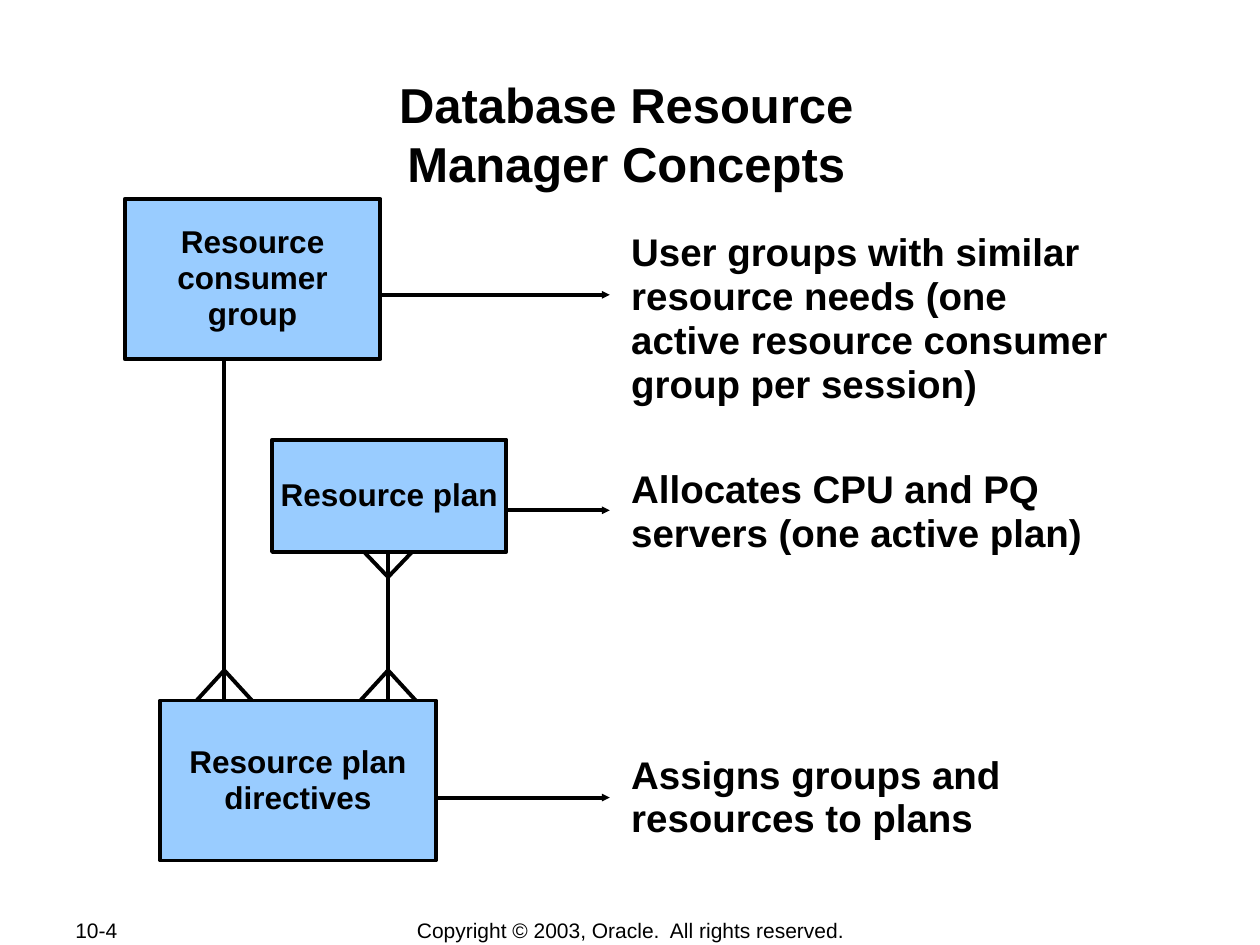
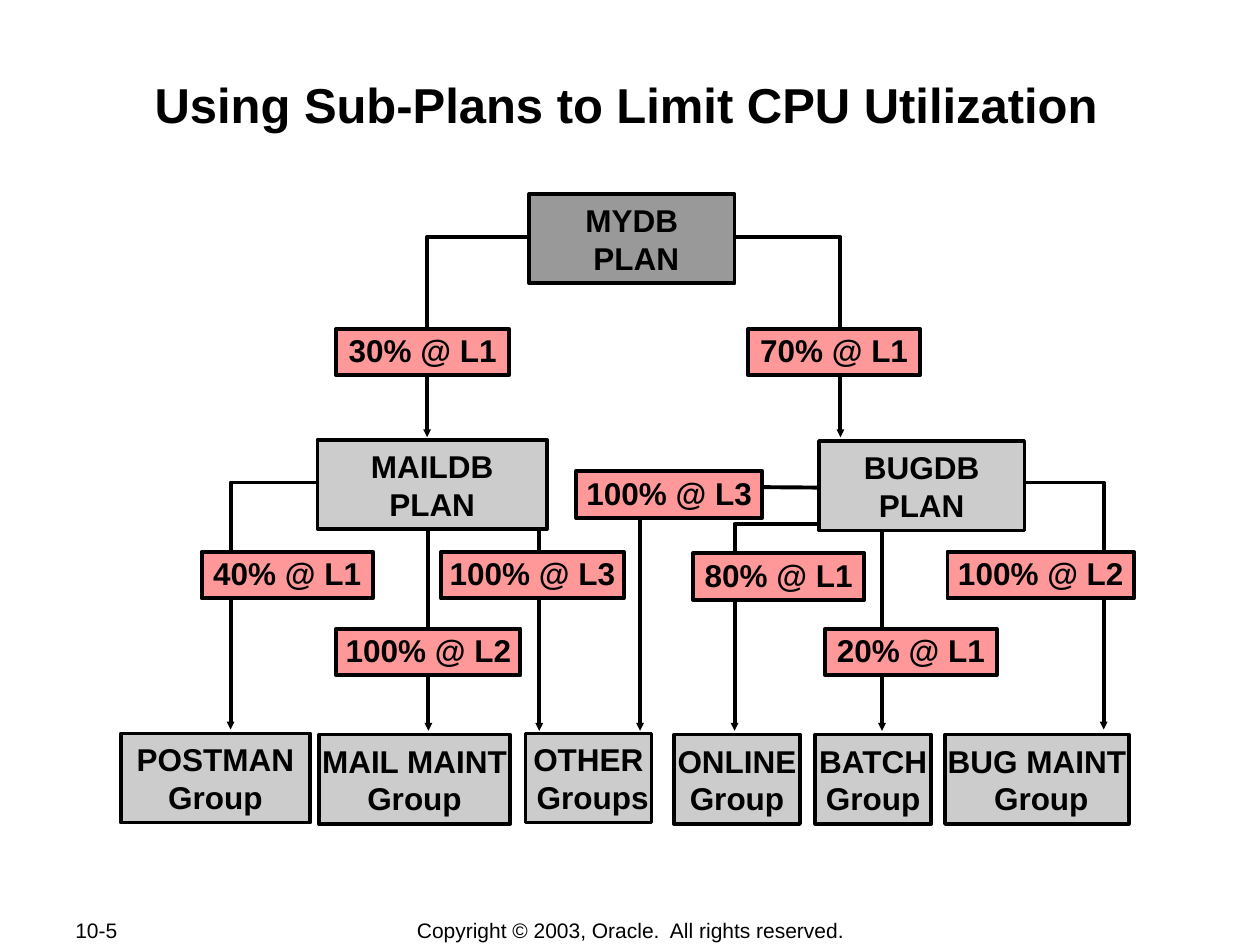
from lxml import etree
from pptx import Presentation
from pptx.dml.color import RGBColor
from pptx.enum.shapes import MSO_CONNECTOR, MSO_SHAPE
from pptx.enum.text import MSO_ANCHOR, PP_ALIGN
from pptx.oxml.ns import qn
from pptx.util import Inches, Pt

FONT = "Arial"
BLACK, BLUE, DARK_GREY, GREY, PINK = "000000", "99CCFF", "999999", "CCCCCC", "FF9999"
COPYRIGHT = "Copyright © 2003, Oracle.  All rights reserved."


def add_text(s, at, paragraphs, size=18, bold=True, fill=None, line=2.25, align=PP_ALIGN.CENTER,
             anchor=MSO_ANCHOR.MIDDLE, inset=0.05, spacing=1.0, wrap=True):
    """Add a box of text; each paragraph is (text, points before). With a fill it is a rectangle."""
    at = [Inches(v) for v in at]
    if fill:
        sp = s.shapes.add_shape(MSO_SHAPE.RECTANGLE, *at)
        sp.shadow.inherit = False
        sp.fill.solid()
        sp.fill.fore_color.rgb = RGBColor.from_string(fill)
        sp.line.color.rgb = RGBColor.from_string(BLACK)
        sp.line.width = Pt(line)
    else:
        sp = s.shapes.add_textbox(*at)
    tf = sp.text_frame
    tf.word_wrap = wrap
    tf.vertical_anchor = anchor
    tf.margin_left = tf.margin_right = Inches(inset)
    tf.margin_top = tf.margin_bottom = Inches(min(inset, 0.05))
    for i, (text, before) in enumerate(paragraphs):
        p = tf.add_paragraph() if i else tf.paragraphs[0]
        p.alignment = align
        p.line_spacing = spacing
        if before:
            p.space_before = Pt(before)
        for j, part in enumerate(text.split("\n")):
            if j:
                p.add_line_break()
            r = p.add_run()
            r.text = part
            r.font.name = FONT
            r.font.size = Pt(size)
            r.font.bold = bold
            r.font.color.rgb = RGBColor.from_string(BLACK)


def add_path(s, points, arrow=True):
    """Join the points: a connector for two, an open outline for more."""
    points = [(Inches(x), Inches(y)) for x, y in points]
    if len(points) == 2:
        sp = s.shapes.add_connector(MSO_CONNECTOR.STRAIGHT, *points[0], *points[1])
        etree.SubElement(sp._element.spPr, qn("a:effectLst"))
    else:
        builder = s.shapes.build_freeform(*points[0])
        builder.add_line_segments(points[1:], close=False)
        sp = builder.convert_to_shape()
        sp.shadow.inherit = False
        sp.fill.background()
    sp.line.color.rgb = RGBColor.from_string(BLACK)
    sp.line.width = Pt(2.25)
    if arrow:
        etree.SubElement(sp.line._get_or_add_ln(), qn("a:tailEnd"), type="triangle", w="sm", len="sm")


prs = Presentation()
prs.slide_width, prs.slide_height = Inches(10), Inches(7.5)

# Title and footers on both slides
titles = [("10-4", "Database Resource\nManager Concepts"),
          ("10-5", "Using Sub-Plans to Limit CPU Utilization")]
for number, title in titles:
    s = prs.slides.add_slide(prs.slide_layouts[6])
    add_text(s, (0.5, 7.28, 1.06, 0.2), [(number, 0)], size=12, bold=False,
             align=PP_ALIGN.LEFT, inset=0.1)
    add_text(s, (2.76, 7.28, 4.49, 0.21), [(COPYRIGHT, 0)], size=12, bold=False, inset=0.1)
    add_text(s, (0.97, 0.58, 8, 0.96), [(title, 0)], size=28, anchor=MSO_ANCHOR.TOP, inset=0.01)
concepts, subplans = prs.slides

# Concepts: relations between the boxes
add_path(concepts, [(1.78, 5.62), (1.78, 2.83)], arrow=False)
add_path(concepts, [(3.08, 5.67), (3.08, 4.17)], arrow=False)

# Crow's feet: tip, then the edge of the box they spread to
for x, tip, edge in [(1.78, 5.32, 5.56), (3.08, 5.32, 5.56), (3.08, 4.58, 4.35)]:
    for side in (-0.22, 0.22):
        add_path(concepts, [(x + side, edge), (x, tip)], arrow=False)

# Arrows to the explanations
for x, y in [(2.58, 2.34), (3.59, 4.05), (2.87, 6.33)]:
    add_path(concepts, [(x, y), (4.84, y)])

# Concept boxes
for at, text in [((0.99, 1.58, 2.03, 1.27), "Resource consumer group"),
                 ((2.16, 3.49, 1.86, 0.89), "Resource plan"),
                 ((1.27, 5.56, 2.19, 1.27), "Resource plan directives")]:
    add_text(concepts, at, [(text, 0)], fill=BLUE, spacing=0.95)

# Explanations
add_text(concepts, (5, 1.83, 3.92, 4.88), [
    ("User groups with similar\nresource needs (one active resource consumer group per session)", 0),
    ("Allocates CPU and PQ servers (one active plan)", 35),
    ("Assigns groups and resources to plans", 113),
], size=22, align=PP_ALIGN.LEFT, anchor=MSO_ANCHOR.TOP, inset=0.01, spacing=0.95)

# Sub-plans: arrows with a bend, from the side of a plan
for start_x, y, x, end_y in [(5.79, 1.88, 6.67, 3.47), (4.23, 1.88, 3.39, 3.47),
                             (8.08, 3.83, 8.76, 5.79), (2.51, 3.83, 1.83, 5.79),
                             (6.51, 4.16, 5.83, 5.8)]:
    add_path(subplans, [(start_x, y), (x, y), (x, end_y)])

# Straight arrows down to the groups
for x, y in [(3.4, 4.16), (4.28, 4.16), (5.08, 4.09), (7, 4.16)]:
    add_path(subplans, [(x, y), (x, 5.8)])
add_path(subplans, [(6.49, 3.87), (5.23, 3.86)], arrow=False)

# Plans and consumer groups
add_text(subplans, (4.2, 1.54, 1.63, 0.71), [("MYDB\n PLAN", 0)], fill=DARK_GREY, wrap=False)
for x, y, w, text in [(2.52, 3.49, 1.82, "MAILDB\nPLAN"), (6.5, 3.5, 1.63, "BUGDB\nPLAN"),
                      (0.96, 5.82, 1.5, "POSTMAN\nGroup"), (2.53, 5.83, 1.52, "MAIL MAINT\nGroup"),
                      (4.17, 5.82, 1, "OTHER\n Groups"), (5.35, 5.83, 1, "ONLINE\nGroup"),
                      (6.47, 5.83, 0.92, "BATCH\nGroup"), (7.5, 5.83, 1.46, "BUG MAINT\n Group")]:
    add_text(subplans, (x, y, w, 0.71), [(text, 0)], fill=GREY, line=2, inset=0.1, wrap=False)

# CPU shares
for x, y, w, share in [(2.67, 2.61, 1.37, "30% @ L1"), (5.94, 2.61, 1.36, "70% @ L1"),
                       (4.57, 3.74, 1.48, "100% @ L3"), (1.6, 4.38, 1.36, "40% @ L1"),
                       (3.5, 4.38, 1.45, "100% @ L3"), (5.5, 4.39, 1.36, "80% @ L1"),
                       (7.52, 4.38, 1.48, "100% @ L2"), (2.67, 4.99, 1.46, "100% @ L2"),
                       (6.55, 4.99, 1.36, "20% @ L1")]:
    add_text(subplans, (x, y, w, 0.37), [(share, 0)], fill=PINK, spacing=0.95, wrap=False)

prs.save("out.pptx")
